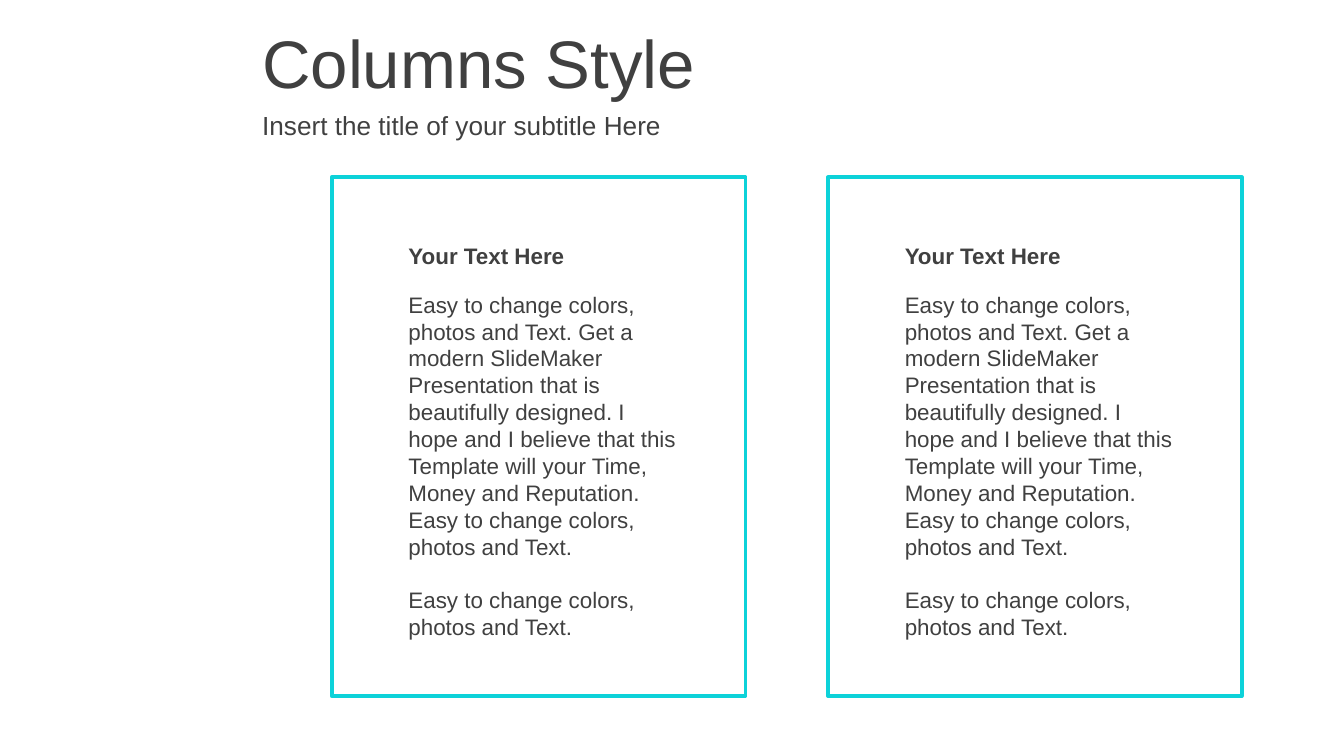
from lxml import etree
from pptx import Presentation
from pptx.dml.color import RGBColor
from pptx.enum.shapes import MSO_SHAPE
from pptx.enum.text import MSO_ANCHOR, MSO_AUTO_SIZE, PP_ALIGN
from pptx.oxml.ns import qn
from pptx.util import Cm, Pt

RECTANGLE = MSO_SHAPE.RECTANGLE
MIDDLE = MSO_ANCHOR.MIDDLE
NO_AUTOFIT = MSO_AUTO_SIZE.NONE
LEFT = PP_ALIGN.LEFT

DARK_GREY = RGBColor(0x40, 0x40, 0x40)
TURQUOISE = RGBColor(0x0D, 0xD2, 0xD9)

COLUMN_LEFT = 6.27
COLUMN_PITCH = 9.38
TEXT_INDENT = 1.2
TEXT_WIDTH = 5.61
HEADING = "Your Text Here"
CLOSING = "Easy to change colors, photos and Text."
BODY = (
    "Easy to change colors, photos and Text. Get a modern SlideMaker "
    "Presentation that is beautifully designed. I hope and I believe that this "
    "Template will your Time, Money and Reputation. " + CLOSING
)


class ColumnsSlide:
    """Holds the text style and the slide, and draws each kind of element."""

    def __init__(self, slide, font_name="Arial", line_height=14.4):
        self.slide = slide
        self.font_name = font_name
        self.line_height = Pt(line_height)

    def set_text(self, shape, texts, size, bold=False, line_spacing=None):
        frame = shape.text_frame
        frame.word_wrap = True
        frame.auto_size = NO_AUTOFIT
        frame.vertical_anchor = MIDDLE
        for index, text in enumerate(texts):
            paragraph = frame.add_paragraph() if index else frame.paragraphs[0]
            paragraph.text = text
            paragraph.alignment = LEFT
            paragraph.line_spacing = line_spacing
            paragraph.space_before = self.line_height if index else Pt(0)
            paragraph.font.name = self.font_name
            paragraph.font.size = Pt(size)
            paragraph.font.bold = bold
            paragraph.font.color.rgb = DARK_GREY

    def placeholder(self, index, text, top, height, size):
        shape = self.slide.placeholders[index]
        shape.left, shape.top = Cm(4.7), Cm(top)
        shape.width, shape.height = Cm(20.7), Cm(height)
        self.set_text(shape, [text], size)

    def frame(self, left):
        shape = self.slide.shapes.add_shape(
            RECTANGLE, Cm(left), Cm(3.35), Cm(7.82), Cm(9.8)
        )
        shape.shadow.inherit = False
        shape.fill.background()
        shape.line.color.rgb = TURQUOISE
        shape.line.width = Pt(2)
        outline = shape.element.spPr.find(qn("a:ln"))
        etree.SubElement(outline, qn("a:round"))

    def text_box(self, left, top, height, texts, bold=False, line_spacing=None):
        shape = self.slide.shapes.add_textbox(
            Cm(left), Cm(top), Cm(TEXT_WIDTH), Cm(height)
        )
        self.set_text(shape, texts, 12, bold, line_spacing)

    def column(self, left):
        self.frame(left)
        text_left = left + TEXT_INDENT
        self.text_box(text_left, 5.33, 6.93, [BODY, CLOSING], line_spacing=self.line_height)
        self.text_box(text_left, 4.45, 0.76, [HEADING], bold=True)


def main():
    presentation = Presentation()
    presentation.slide_width = Cm(25.4)
    presentation.slide_height = Cm(14.28)
    slide = presentation.slides.add_slide(presentation.slide_layouts[0])
    columns = ColumnsSlide(slide)
    columns.placeholder(0, "Columns Style", 0.36, 1.6, 36)
    columns.placeholder(1, "Insert the title of your subtitle Here", 1.96, 0.79, 14)
    for number in range(2):
        columns.column(COLUMN_LEFT + number * COLUMN_PITCH)
    presentation.save("out.pptx")


if __name__ == "__main__":
    main()
